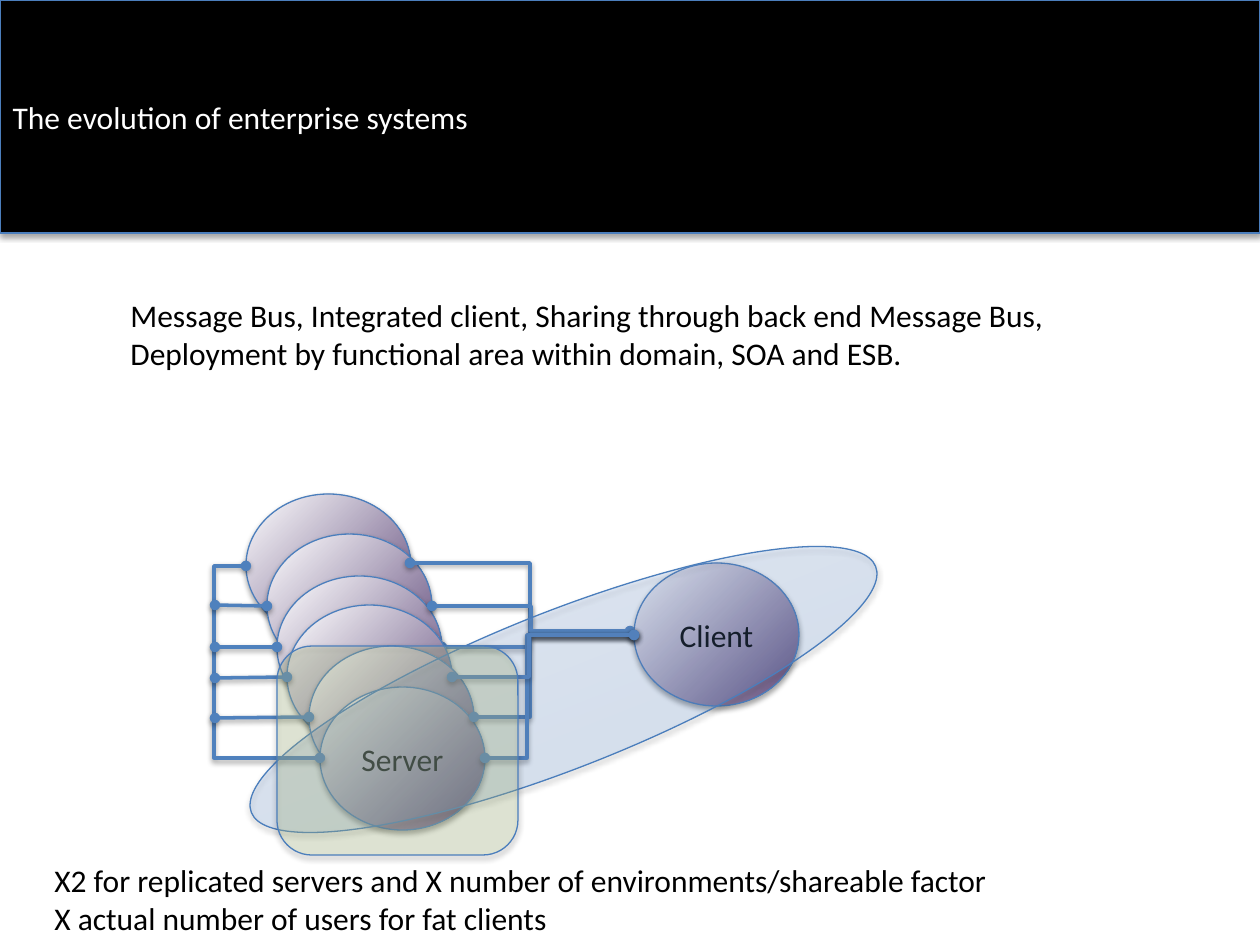
from lxml import etree
from pptx import Presentation
from pptx.dml.color import RGBColor
from pptx.enum import shapes, text
from pptx.oxml import parse_xml
from pptx.oxml.ns import qn
from pptx.util import Emu, Pt

PX = 914400 / 126
FONT, SIZE = "Calibri", Pt(18)
COLORS = {
    "black": "000000", "white": "FFFFFF", "outline": "4B7EBC", "link": "4F81BD",
    "purple": "604A7B", "blue": "3F80CE", "pale": "A4C4FF", "green": "C3D69B",
}
COLORS = {name: RGBColor.from_string(value) for name, value in COLORS.items()}
SHADOW = (
    '<a:effectLst xmlns:a="http://schemas.openxmlformats.org/drawingml/2006/main">'
    '<a:outerShdw blurRad="40000" dist="{dist}" dir="5400000" rotWithShape="0">'
    '<a:srgbClr val="000000"><a:alpha val="{alpha}"/></a:srgbClr>'
    '</a:outerShdw></a:effectLst>'
)

deck = Presentation()
deck.slide_width, deck.slide_height = Emu(int(1260 * PX)), Emu(int(945 * PX))
page = deck.slides.add_slide(deck.slide_layouts[5])


def add_ball(label, left, top):
    """Add a labelled circle, shaded from its lower right corner."""
    ball = page.shapes.add_shape(
        shapes.MSO_SHAPE.OVAL, *[Emu(int(n * PX)) for n in (left, top, 165, 143)])
    ball.fill.gradient()
    for stop, color in zip(ball.fill.gradient_stops, ("purple", "white")):
        stop.color.rgb = COLORS[color]
    gradient = ball._element.spPr.find(qn("a:gradFill"))
    gradient.remove(gradient.find(qn("a:lin")))
    shade = etree.SubElement(gradient, qn("a:path"), path="circle")
    etree.SubElement(shade, qn("a:fillToRect"), l="100000", t="100000")
    ball.text_frame.text = label
    para = ball.text_frame.paragraphs[0]
    para.alignment = text.PP_ALIGN.CENTER
    para.font.name, para.font.size = FONT, SIZE
    para.font.color.rgb = COLORS["black"]


def add_link(x1, y1, x2, y2, bend=None):
    """Add a line with round ends, turning at x = bend if that is given."""
    kind = shapes.MSO_CONNECTOR.ELBOW if bend else shapes.MSO_CONNECTOR.STRAIGHT
    link = page.shapes.add_connector(kind, *[Emu(int(n * PX)) for n in (x1, y1, x2, y2)])
    link.line.color.rgb = COLORS["link"]
    link.line.width = Pt(2)
    properties = link._element.spPr
    for end in ("a:headEnd", "a:tailEnd"):
        etree.SubElement(properties.find(qn("a:ln")), qn(end), type="oval")
    if bend:
        guides = properties.find(qn("a:prstGeom")).get_or_add_avLst()
        ratio = round((bend - x1) / (x2 - x1) * 100000)
        etree.SubElement(guides, qn("a:gd"), name="adj1", fmla=f"val {ratio}")


# Title bar
title = page.shapes.title
title.left, title.top = Emu(0), Emu(0)
title.width, title.height = deck.slide_width, Emu(int(233 * PX))
title.fill.solid()
title.fill.fore_color.rgb = COLORS["black"]
title.text_frame.text = "The evolution of enterprise systems"
title.text_frame.vertical_anchor = text.MSO_ANCHOR.MIDDLE
para = title.text_frame.paragraphs[0]
para.alignment = text.PP_ALIGN.LEFT
para.font.name, para.font.size = FONT, SIZE
para.font.color.rgb = COLORS["white"]

# Notes above and below the diagram
notes = [
    (118, 290, 951, ["Message Bus, Integrated client, Sharing through back end Message Bus,",
                     "Deployment by functional area within domain, SOA and ESB."]),
    (42, 855, 973, ["X2 for replicated servers and X number of environments/shareable factor",
                    "X actual number of users for fat clients"]),
]
for left, top, width, lines in notes:
    box = page.shapes.add_textbox(*[Emu(int(n * PX)) for n in (left, top, width, 89)])
    box.text_frame.word_wrap = False
    box.text_frame.auto_size = text.MSO_AUTO_SIZE.SHAPE_TO_FIT_TEXT
    box.text_frame.text = "\n".join(lines)
    for para in box.text_frame.paragraphs:
        para.font.name, para.font.size = FONT, SIZE
        para.font.color.rgb = COLORS["black"]

# Servers, the client and the links between them
servers = [(246, 494), (267, 534), (277, 576), (287, 605), (309, 646), (320, 687)]
for left, top in servers[:3]:
    add_ball("Server", left, top)
add_link(410, 563, 634, 635, 530)
add_ball("Client", 634, 563)
add_link(442, 647, 634, 635, 528)
add_link(432, 606, 630, 631, 531)
for left, top in servers[3:]:
    add_ball("Server", left, top)
for x, y, bend in [(474, 717, 530), (485, 758, 527), (452, 677, 529)]:
    add_link(x, y, 634, 635, bend)

# Message bus on the left
add_link(320, 758, 246, 566, 214)
for x, y, bus_y in [(267, 606, 605), (277, 647, 647), (287, 677, 678), (309, 717, 718)]:
    add_link(x, y, 215, bus_y)

# Translucent areas
span_area = page.shapes.add_shape(
    shapes.MSO_SHAPE.OVAL, *[Emu(int(n * PX)) for n in (228, 611, 671, 157)])
span_area.rotation = 338.5
span_area.fill.gradient()
span_area.fill.gradient_angle = 90
for stop, color in zip(span_area.fill.gradient_stops, ("blue", "pale")):
    stop.color.rgb = COLORS[color]
server_area = page.shapes.add_shape(
    shapes.MSO_SHAPE.ROUNDED_RECTANGLE, *[Emu(int(n * PX)) for n in (277, 646, 241, 209)])
server_area.fill.solid()
server_area.fill.fore_color.rgb = COLORS["green"]
for area, alpha in [(span_area, "18000"), (server_area, "27000")]:
    for color in area._element.spPr.iter(qn("a:srgbClr")):
        etree.SubElement(color, qn("a:alpha"), val=alpha)

# Outlines and shadows
for shape in page.shapes:
    if shape.shape_type == shapes.MSO_SHAPE_TYPE.TEXT_BOX:
        continue
    dist, alpha = 20000, 38000
    if shape.has_text_frame:
        shape.line.color.rgb = COLORS["outline"]
        shape.line.width = Pt(0.75)
        dist, alpha = 23000, 35000
    shape._element.spPr.append(parse_xml(SHADOW.format(dist=dist, alpha=alpha)))

deck.save("out.pptx")
